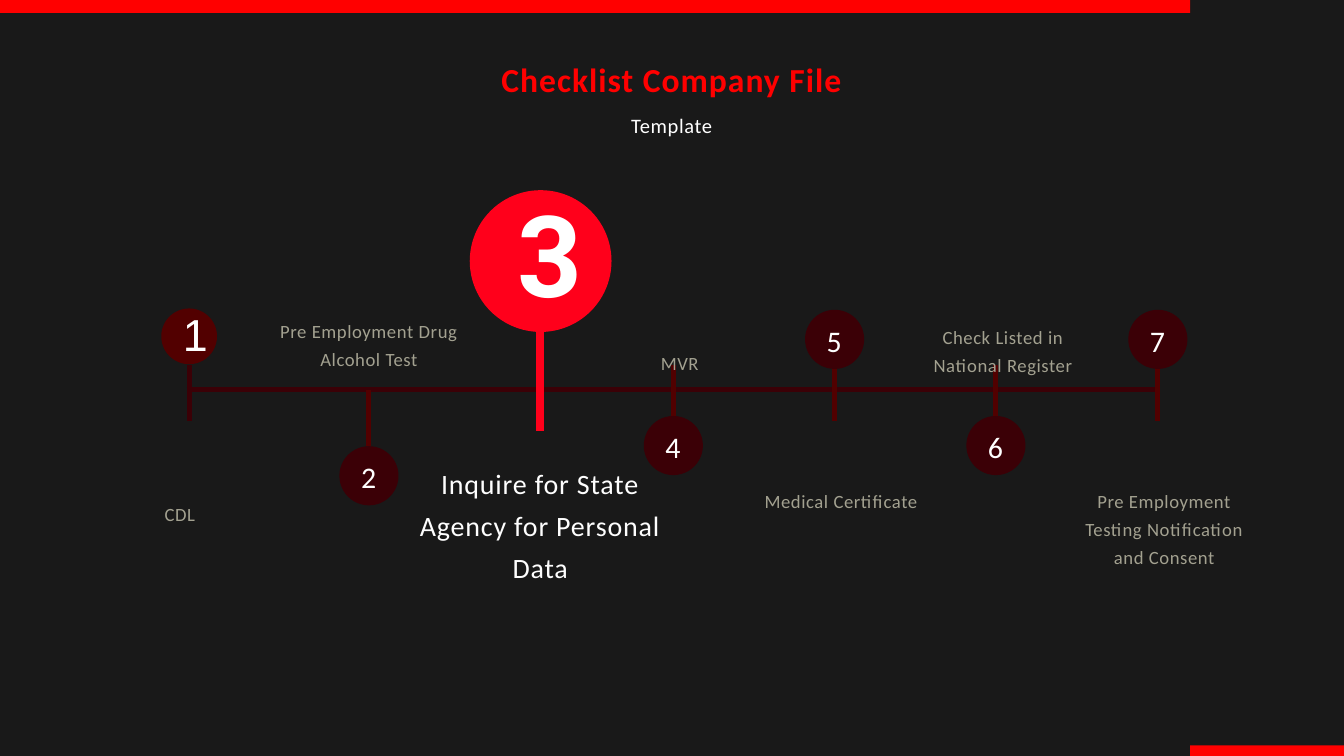
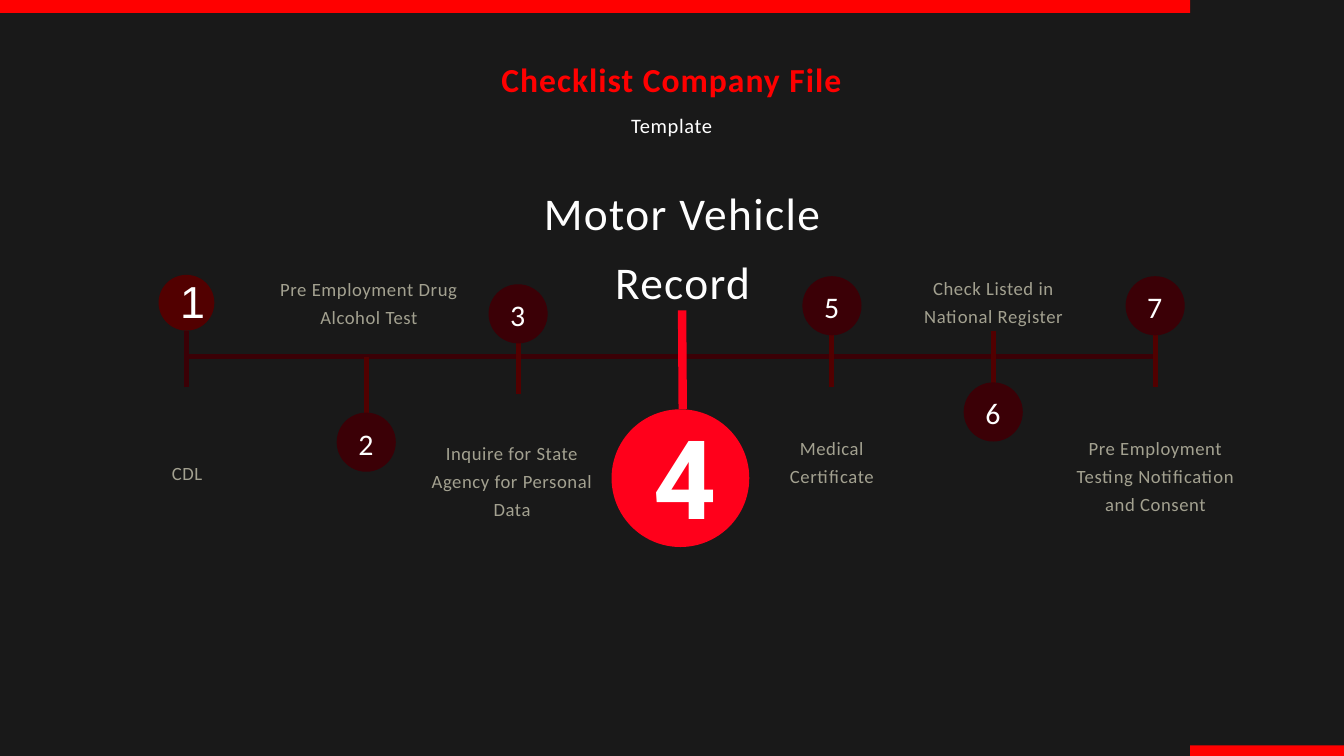
import pptx
import pptx.dml.color
import pptx.enum.shapes
import pptx.enum.text
import pptx.oxml
import pptx.util


class Theme:
    background = "191919"
    accent = "FF0000"
    highlight = "FF001B"
    deep = "3B0006"
    dark = "520000"
    white = "FFFFFF"
    active = "FEFEFE"
    muted = "A3A190"
    font = "Calibri"
    first_font = "Arial"
    highlight_font = "Roboto"
    title = 36
    subtitle = 22
    number = 32
    first_number = 48
    caption = 20
    stroke = 5.25
    highlight_stroke = 9


SHAPE = pptx.enum.shapes.MSO_SHAPE
ANCHOR = pptx.enum.text.MSO_ANCHOR
rgb = pptx.dml.color.RGBColor.from_string


def px(*lengths):
    """Turn px into EMU, at 100 px to the inch."""
    return [pptx.util.Emu(length * 9144) for length in lengths]


def write(box, text, size, color=Theme.white, font=Theme.font, bold=False,
          leading=1.5, tracking=0.03, inset=0, anchor=ANCHOR.TOP):
    """Leading and tracking are multiples of the type size."""
    frame = box.text_frame
    frame.word_wrap = True
    frame.auto_size = pptx.enum.text.MSO_AUTO_SIZE.NONE
    frame.vertical_anchor = anchor
    margin = px(inset)[0]
    frame.margin_left = frame.margin_right = margin
    frame.margin_top = frame.margin_bottom = margin
    para = frame.paragraphs[0]
    para.alignment = pptx.enum.text.PP_ALIGN.CENTER
    para.line_spacing = pptx.util.Pt(size * leading)
    para.space_before = pptx.util.Pt(0)
    span = para.add_run()
    span.text = text
    span.font.name = font
    span.font.size = pptx.util.Pt(size)
    span.font.bold = bold
    span.font.color.rgb = rgb(color)
    span.font._element.set("spc", str(round(size * tracking * 100)))


# Number: centre x, stem top and circle top; both tops are measured from the axis.
SMALL_MARKS = {
    "2": (549, 1, 84),
    "3": (775, -26, -107),
    "4": (1002, -37, 39),
    "5": (1242, -37, -119),
    "6": (1482, -37, 39),
    "7": (1723, -37, -119),
}
STEM = 83
CIRCLE = 88
FIRST_X, FIRST_CIRCLE = 282, 83
BANDS = [(0, 0, 1771, 19), (1771, 1109, 250, 18)]

DRUG_TEST = "Pre Employment Drug Alcohol Test"
INQUIRY = "Inquire for State Agency for Personal Data"
MEDICAL = "Medical Certificate"
REGISTER = "Check Listed in National Register"
CONSENT = "Pre Employment Testing Notification and Consent"

STEPS = [
    {
        "active": "3", "axis": 580, "shift": 0,
        "circle": (699, 283, 211), "stem": (804, 641, 804, 494),
        "digit": (770, 307, 74, 178), "digit_size": 121.5,
        "label": (INQUIRY, 612, 682, 384, 185), "label_size": 30,
        "captions": [
            (DRUG_TEST, 410, 467, 278, 82),
            ("MVR", 878, 515, 267, 40),
            (MEDICAL, 1118, 720, 267, 40),
            (REGISTER, 1359, 476, 267, 81),
            (CONSENT, 1599, 720, 267, 121),
            ("CDL", 134, 740, 267, 40),
        ],
    },
    {
        "active": "4", "axis": 530, "shift": -4,
        "circle": (910, 609, 205), "stem": (1016, 609, 1015, 462),
        "digit": (972, 642, 40, 171), "digit_size": 117.6,
        "label": ("Motor Vehicle Record", 766, 256, 500, 197), "label_size": 48.6,
        "captions": [
            (DRUG_TEST, 410, 405, 278, 82),
            (INQUIRY, 642, 649, 240, 124),
            (MEDICAL, 1143, 642, 190, 81),
            (REGISTER, 1345, 404, 267, 81),
            (CONSENT, 1586, 642, 267, 121),
            ("CDL", 145, 679, 267, 40),
        ],
    },
]

deck = pptx.Presentation()
deck.slide_width, deck.slide_height = px(2000, 1125)
master_fill = deck.slide_master.background.fill
master_fill.solid()
master_fill.fore_color.rgb = rgb(Theme.background)

for step in STEPS:
    page = deck.slides.add_slide(deck.slide_layouts[0])
    title, subtitle = page.placeholders
    title.left, title.top, title.width, title.height = px(330, 83, 1339, 63)
    subtitle.left, subtitle.top, subtitle.width, subtitle.height = px(330, 159, 1339, 40)
    write(title, "Checklist Company File", Theme.title, Theme.accent, bold=True, leading=1.3)
    write(subtitle, "Template", Theme.subtitle)

    axis, shift = step["axis"], step["shift"]
    first_x = FIRST_X + shift
    marks = {number: (x + shift, axis + stem_top, axis + circle_top)
             for number, (x, stem_top, circle_top) in SMALL_MARKS.items()
             if number != step["active"]}

    lines = [((278 + shift, axis, 1723 + shift, axis), Theme.deep, Theme.stroke)]
    lines += [((x, stem_top + STEM, x, stem_top), Theme.dark, Theme.stroke)
              for x, stem_top, circle_top in marks.values()]
    lines += [((first_x, axis + 46, first_x, axis - 37), Theme.deep, Theme.stroke),
              (step["stem"], Theme.highlight, Theme.highlight_stroke)]
    for ends, color, width in lines:
        line = page.shapes.add_connector(pptx.enum.shapes.MSO_CONNECTOR.STRAIGHT, *px(*ends))
        line.line.color.rgb = rgb(color)
        line.line.width = pptx.util.Pt(width)
        line._element.spPr.append(pptx.oxml.parse_xml(
            '<a:effectLst xmlns:a="http://schemas.openxmlformats.org/drawingml/2006/main"/>'))

    shapes = [(SHAPE.RECTANGLE, band, Theme.accent) for band in BANDS]
    shapes += [(SHAPE.OVAL, (x - CIRCLE // 2, circle_top, CIRCLE, CIRCLE), Theme.deep)
               for x, stem_top, circle_top in marks.values()]
    left, top, diameter = step["circle"]
    shapes += [(SHAPE.OVAL, (first_x - 42, axis - 121, FIRST_CIRCLE, FIRST_CIRCLE), Theme.dark),
               (SHAPE.OVAL, (left, top, diameter, diameter), Theme.highlight)]
    for kind, place, color in shapes:
        shape = page.shapes.add_shape(kind, *px(*place))
        shape.shadow.inherit = False
        shape.fill.solid()
        shape.fill.fore_color.rgb = rgb(color)
        shape.line.fill.background()

    for number, (x, stem_top, circle_top) in marks.items():
        box = page.shapes.add_textbox(*px(x - 36, circle_top - 2, 71, 82))
        write(box, number, Theme.number, inset=6, anchor=ANCHOR.MIDDLE)

    box = page.shapes.add_textbox(*px(first_x - 10, axis - 110, 16, 69))
    write(box, "1", Theme.first_number, font=Theme.first_font, leading=1, tracking=0)
    box = page.shapes.add_textbox(*px(*step["digit"]))
    write(box, step["active"], step["digit_size"], font=Theme.highlight_font,
          bold=True, leading=1, tracking=0)

    label, *place = step["label"]
    box = page.shapes.add_textbox(*px(*place))
    write(box, label, step["label_size"], Theme.active)
    for caption, *place in step["captions"]:
        box = page.shapes.add_textbox(*px(*place))
        write(box, caption, Theme.caption, Theme.muted)

deck.save("out.pptx")
